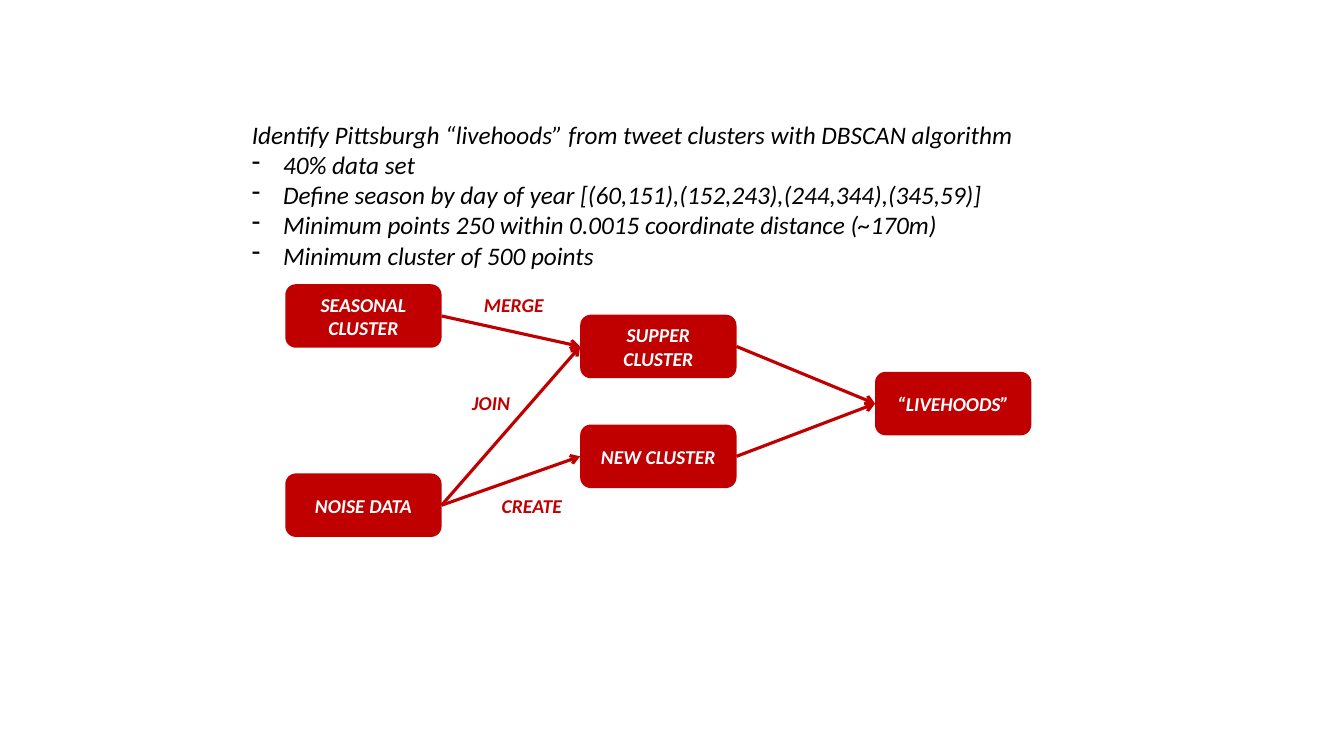
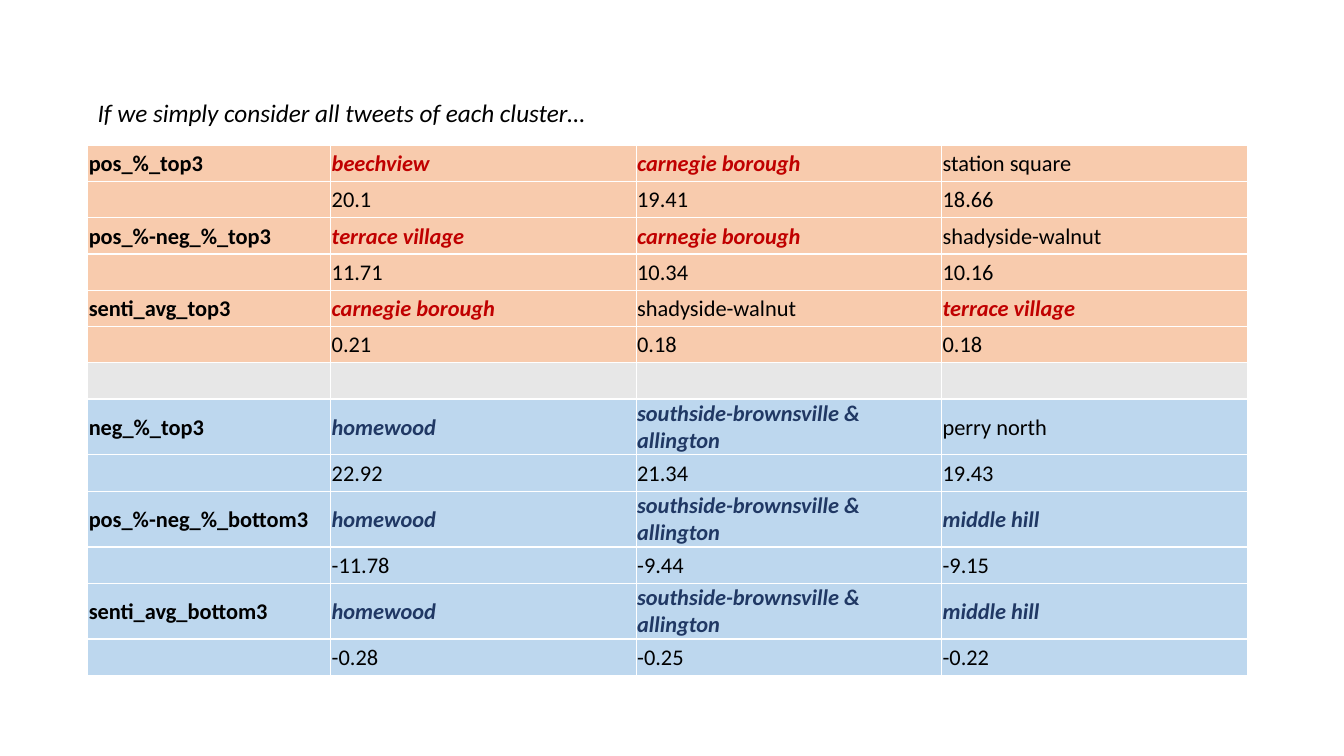
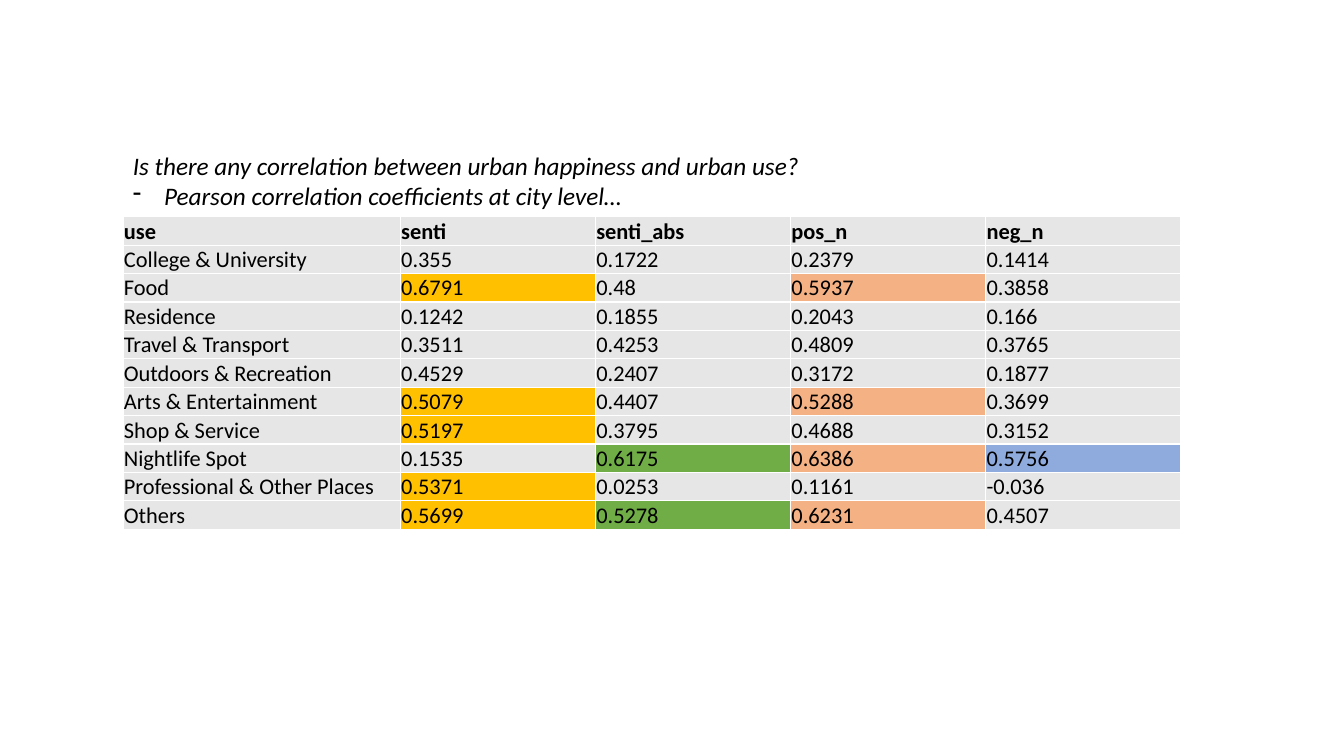
"""Build three slides on neighbourhood clusters and how happy they are."""

from dataclasses import dataclass
from typing import NamedTuple

import lxml.etree
import pptx
import pptx.dml.color
import pptx.enum.shapes
import pptx.enum.text
import pptx.oxml
import pptx.oxml.ns
import pptx.presentation
import pptx.slide
import pptx.text.text
import pptx.util


@dataclass(frozen=True)
class Theme:
    """Colours and type sizes used on every slide."""

    font: str = "Calibri"
    heading: float = 18
    table: float = 16
    diagram: float = 14
    ink: str = "000000"
    white: str = "FFFFFF"
    red: str = "C00000"
    navy: str = "203864"
    peach: str = "F8CBAD"
    sky: str = "BDD7EE"
    separator: str = "E7E7E7"
    grey: str = "E7E6E6"
    amber: str = "FFC000"
    green: str = "70AD47"
    orange: str = "F4B183"
    blue: str = "8FAADC"


THEME = Theme()
WIDTH = pptx.util.Inches(13.33)
HEIGHT = pptx.util.Inches(7.5)
HANGING = pptx.util.Inches(0.31)


class Box(NamedTuple):
    """An area in percent of the slide's width and height."""

    left: float
    top: float
    width: float
    height: float


class Node(NamedTuple):
    """A diagram box at a grid column and row."""

    column: float
    row: float
    lines: tuple[str, ...]


class LinkLabel(NamedTuple):
    """A word beside an arrow, placed on the diagram grid."""

    column: float
    row: float
    width: float
    word: str


class Place(NamedTuple):
    """A neighbourhood, its score and whether it stands out."""

    name: str
    score: str
    notable: bool = True


class Ranking(NamedTuple):
    """Three places ranked by one measure."""

    measure: str
    places: tuple[Place, ...]


@dataclass(frozen=True)
class Cell:
    """Text and look of one table cell."""

    text: str
    fill: str
    color: str = THEME.ink
    bold: bool = False
    italic: bool = False


DIAGRAM = Box(21.23, 37.6, 11.63, 8.4)
COLUMN_PITCH = 21.94

NODES = {
    "seasonal": Node(0, 0, ("SEASONAL", "CLUSTER")),
    "noise": Node(0, 2.98, ("NOISE DATA",)),
    "supper": Node(1, 0.48, ("SUPPER CLUSTER",)),
    "new": Node(1, 2.21, ("NEW CLUSTER",)),
    "livehoods": Node(2, 1.38, ("“LIVEHOODS”",)),
}
LINKS = (
    ("seasonal", "supper"),
    ("noise", "supper"),
    ("noise", "new"),
    ("supper", "livehoods"),
    ("new", "livehoods"),
)
LINK_LABELS = (
    LinkLabel(0.64, 0.05, 6, "MERGE"),
    LinkLabel(0.6, 1.6, 4.35, "JOIN"),
    LinkLabel(0.7, 3.22, 6, "CREATE"),
)

BROWNSVILLE = "southside-brownsville & allington"
HAPPIEST = (
    Ranking("pos_%_top3", (
        Place("beechview", "20.1"),
        Place("carnegie borough", "19.41"),
        Place("station square", "18.66", False),
    )),
    Ranking("pos_%-neg_%_top3", (
        Place("terrace village", "11.71"),
        Place("carnegie borough", "10.34"),
        Place("shadyside-walnut", "10.16", False),
    )),
    Ranking("senti_avg_top3", (
        Place("carnegie borough", "0.21"),
        Place("shadyside-walnut", "0.18", False),
        Place("terrace village", "0.18"),
    )),
)
UNHAPPIEST = (
    Ranking("neg_%_top3", (
        Place("homewood", "22.92"),
        Place(BROWNSVILLE, "21.34"),
        Place("perry north", "19.43", False),
    )),
    Ranking("pos_%-neg_%_bottom3", (
        Place("homewood", "-11.78"),
        Place(BROWNSVILLE, "-9.44"),
        Place("middle hill", "-9.15"),
    )),
    Ranking("senti_avg_bottom3", (
        Place("homewood", "-0.28"),
        Place(BROWNSVILLE, "-0.25"),
        Place("middle hill", "-0.22"),
    )),
)

STRONG = 0.5
MEASURES = {
    "senti": THEME.amber,
    "senti_abs": THEME.green,
    "pos_n": THEME.orange,
    "neg_n": THEME.blue,
}
CORRELATIONS = {
    "College & University": (0.355, 0.1722, 0.2379, 0.1414),
    "Food": (0.6791, 0.48, 0.5937, 0.3858),
    "Residence": (0.1242, 0.1855, 0.2043, 0.166),
    "Travel & Transport": (0.3511, 0.4253, 0.4809, 0.3765),
    "Outdoors & Recreation": (0.4529, 0.2407, 0.3172, 0.1877),
    "Arts & Entertainment": (0.5079, 0.4407, 0.5288, 0.3699),
    "Shop & Service": (0.5197, 0.3795, 0.4688, 0.3152),
    "Nightlife Spot": (0.1535, 0.6175, 0.6386, 0.5756),
    "Professional & Other Places": (0.5371, 0.0253, 0.1161, -0.036),
    "Others": (0.5699, 0.5278, 0.6231, 0.4507),
}


def rgb(color: str) -> pptx.dml.color.RGBColor:
    """Turn a hex string into a colour."""
    return pptx.dml.color.RGBColor.from_string(color)


def across(percent: float) -> pptx.util.Emu:
    """Measure a share of the slide's width."""
    return pptx.util.Emu(round(WIDTH * percent / 100))


def down(percent: float) -> pptx.util.Emu:
    """Measure a share of the slide's height."""
    return pptx.util.Emu(round(HEIGHT * percent / 100))


def place(box: Box) -> tuple[pptx.util.Emu, ...]:
    """Give left, top, width and height of a box on the slide."""
    return across(box.left), down(box.top), across(box.width), down(box.height)


def on_grid(column: float, row: float, width: float, height: float) -> Box:
    """Place a box of the given size on the diagram grid."""
    left = DIAGRAM.left + column * COLUMN_PITCH
    return Box(left, DIAGRAM.top + row * DIAGRAM.height, width, height)


def set_font(paragraph: pptx.text.text._Paragraph, size: float, color: str,
             bold: bool = False, italic: bool = False) -> None:
    """Set the font of a whole paragraph."""
    font = paragraph.font
    font.name, font.size = THEME.font, pptx.util.Pt(size)
    font.bold, font.italic = bold, italic
    font.color.rgb = rgb(color)


def add_dash(paragraph: pptx.text.text._Paragraph) -> None:
    """Give a paragraph a hanging dash bullet."""
    properties = paragraph._p.get_or_add_pPr()
    properties.set("marL", str(HANGING))
    properties.set("indent", str(-HANGING))
    dash = lxml.etree.SubElement(properties, pptx.oxml.ns.qn("a:buChar"))
    dash.set("char", "-")


def add_text(slide: pptx.slide.Slide, box: Box,
             lines: tuple[str, ...]) -> pptx.text.text.TextFrame:
    """Add an unwrapped text box with one paragraph per line."""
    frame = slide.shapes.add_textbox(*place(box)).text_frame
    frame.text = "\n".join(lines)
    frame.word_wrap = False
    frame.auto_size = pptx.enum.text.MSO_AUTO_SIZE.SHAPE_TO_FIT_TEXT
    return frame


def add_heading(slide: pptx.slide.Slide, box: Box, heading: str, *points: str) -> None:
    """Add an italic heading followed by dashed points."""
    frame = add_text(slide, box, (heading, *points))
    for position, paragraph in enumerate(frame.paragraphs):
        if position:
            add_dash(paragraph)
        set_font(paragraph, THEME.heading, THEME.ink, italic=True)


def add_node(slide: pptx.slide.Slide, node: Node) -> pptx.shapes.autoshape.Shape:
    """Draw one rounded diagram box."""
    box = on_grid(node.column, node.row, DIAGRAM.width, DIAGRAM.height)
    kind = pptx.enum.shapes.MSO_SHAPE.ROUNDED_RECTANGLE
    step = slide.shapes.add_shape(kind, *place(box))
    step.shadow.inherit = False
    step.fill.solid()
    step.fill.fore_color.rgb = rgb(THEME.red)
    step.line.fill.background()
    frame = step.text_frame
    frame.text = "\n".join(node.lines)
    frame.word_wrap = True
    frame.vertical_anchor = pptx.enum.text.MSO_ANCHOR.MIDDLE
    for paragraph in frame.paragraphs:
        paragraph.alignment = pptx.enum.text.PP_ALIGN.CENTER
        set_font(paragraph, THEME.diagram, THEME.white, bold=True, italic=True)
    return step


def add_arrow(slide: pptx.slide.Slide, start: pptx.shapes.autoshape.Shape,
              end: pptx.shapes.autoshape.Shape) -> None:
    """Join the right side of one node to the left side of another."""
    kind = pptx.enum.shapes.MSO_CONNECTOR.STRAIGHT
    arrow = slide.shapes.add_connector(kind, 0, 0, 0, 0)
    arrow.begin_connect(start, 3)
    arrow.end_connect(end, 1)
    arrow.line.color.rgb = rgb(THEME.red)
    arrow.line.width = pptx.util.Pt(2.25)
    head = lxml.etree.SubElement(arrow.line._get_or_add_ln(), pptx.oxml.ns.qn("a:tailEnd"))
    head.set("type", "arrow")
    lxml.etree.SubElement(arrow._element.spPr, pptx.oxml.ns.qn("a:effectLst"))


def add_borders(cell: pptx.table._Cell) -> None:
    """Draw thin white borders around a cell."""
    properties = cell._tc.get_or_add_tcPr()
    for side in ("lnL", "lnR", "lnT", "lnB"):
        border = lxml.etree.SubElement(properties, pptx.oxml.ns.qn(f"a:{side}"))
        border.set("w", str(pptx.util.Pt(1)))
        fill = lxml.etree.SubElement(border, pptx.oxml.ns.qn("a:solidFill"))
        lxml.etree.SubElement(fill, pptx.oxml.ns.qn("a:srgbClr")).set("val", THEME.white)


def fill_cell(cell: pptx.table._Cell, content: Cell) -> None:
    """Write and style one table cell."""
    hair = pptx.util.Inches(0.01)
    cell.margin_left = cell.margin_right = cell.margin_top = hair
    cell.margin_bottom = 0
    cell.vertical_anchor = pptx.enum.text.MSO_ANCHOR.MIDDLE
    add_borders(cell)
    cell.fill.solid()
    cell.fill.fore_color.rgb = rgb(content.fill)
    cell.text = content.text
    set_font(cell.text_frame.paragraphs[0], THEME.table, content.color,
             content.bold, content.italic)


def add_grid(slide: pptx.slide.Slide, left: float, top: float, first_width: float,
             other_width: float, row_height: float, rows: list[list[Cell]]) -> None:
    """Add a table with a label column and equal value columns."""
    widths = [first_width] + [other_width] * (len(rows[0]) - 1)
    box = Box(left, top, sum(widths), row_height * len(rows))
    table = slide.shapes.add_table(len(rows), len(widths), *place(box)).table
    table.first_row = table.horz_banding = False
    for column, width in zip(table.columns, widths):
        column.width = across(width)
    for row, contents in zip(table.rows, rows):
        row.height = down(row_height)
        for cell, content in zip(row.cells, contents):
            fill_cell(cell, content)


def ranking_rows(rankings: tuple[Ranking, ...], fill: str, accent: str) -> list[list[Cell]]:
    """Give a row of names and a row of scores for each ranking."""
    rows = []
    for measure, places in rankings:
        names = [Cell(spot.name, fill, accent if spot.notable else THEME.ink,
                      spot.notable, spot.notable) for spot in places]
        rows.append([Cell(measure, fill, bold=True), *names])
        rows.append([Cell("", fill), *(Cell(spot.score, fill) for spot in places)])
    return rows


def correlation_rows() -> list[list[Cell]]:
    """Give the header and one row per use, with strong values coloured."""
    rows = [[Cell(title, THEME.grey, bold=True) for title in ("use", *MEASURES)]]
    for use, values in CORRELATIONS.items():
        scores = [Cell(str(value), color if value > STRONG else THEME.grey)
                  for value, color in zip(values, MEASURES.values())]
        rows.append([Cell(use, THEME.grey), *scores])
    return rows


def draw_method(slide: pptx.slide.Slide) -> None:
    """Show how clusters become livehoods."""
    add_heading(
        slide, Box(18, 15.07, 58.74, 21.6),
        "Identify Pittsburgh “livehoods” from tweet clusters with DBSCAN algorithm",
        "40% data set",
        "Define season by day of year [(60,151),(152,243),(244,344),(345,59)]",
        "Minimum points 250 within 0.0015 coordinate distance (~170m)",
        "Minimum cluster of 500 points",
    )
    steps = {key: add_node(slide, node) for key, node in NODES.items()}
    for start, end in LINKS:
        add_arrow(slide, steps[start], steps[end])
    for column, row, width, word in LINK_LABELS:
        frame = add_text(slide, on_grid(column, row, width, 4.53), (word,))
        set_font(frame.paragraphs[0], THEME.diagram, THEME.red, bold=True, italic=True)


def draw_rankings(slide: pptx.slide.Slide) -> None:
    """Show the happiest and unhappiest places."""
    rows = [
        *ranking_rows(HAPPIEST, THEME.peach, THEME.red),
        [Cell("", THEME.separator)] * 4,
        *ranking_rows(UNHAPPIEST, THEME.sky, THEME.navy),
    ]
    add_grid(slide, 6.53, 19.2, 18.08, 22.73, 4.8, rows)
    add_heading(slide, Box(6.53, 12.27, 38.33, 5.33),
                "If we simply consider all tweets of each cluster…")


def draw_correlations(slide: pptx.slide.Slide) -> None:
    """Show how urban use relates to happiness."""
    add_grid(slide, 9.15, 28.67, 20.63, 14.52, 3.7, correlation_rows())
    add_heading(slide, Box(9.15, 19.2, 51.61, 9.47),
                "Is there any correlation between urban happiness and urban use?",
                "Pearson correlation coefficients at city level…")


def main() -> None:
    """Build and save the presentation."""
    deck = pptx.Presentation()
    deck.slide_width, deck.slide_height = WIDTH, HEIGHT
    for draw in (draw_method, draw_rankings, draw_correlations):
        draw(deck.slides.add_slide(deck.slide_layouts[6]))
    deck.save("out.pptx")


if __name__ == "__main__":
    main()
